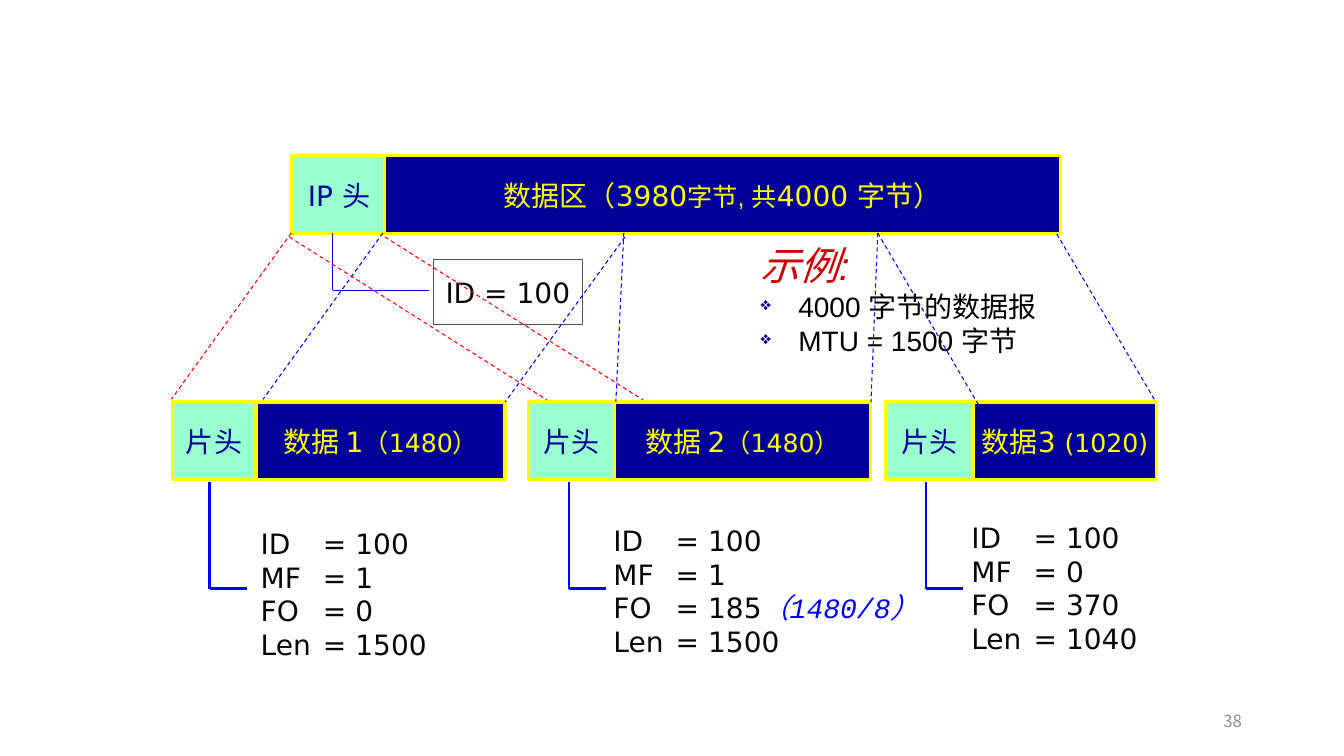
"""Slide showing how a 4000-byte IP datagram is split into three fragments."""
from lxml import etree
from pptx import Presentation
from pptx import util as u
from pptx.dml.color import RGBColor
from pptx.enum import dml, shapes, text
from pptx.oxml.ns import qn

COLOURS = {
    "mint": "99FFCC", "navy": "000099", "yellow": "FFFF00", "blue": "0000FF",
    "red": "FF0000", "crimson": "CC0000", "slate": "44546A", "ink": "080808",
    "black": "000000", "grey": "8C8C8C",
}
SANS, ARIAL, MONO, CJK = "DejaVu Sans", "Arial", "Courier New", "Noto Sans CJK SC"
BAR_HEIGHT, DATAGRAM_TOP, FRAGMENT_TOP = 1.96, 3.93, 10.13

HEAD = [("片头", {})]
SMALL = {"size": 18}
BARS = [
    (7.34, DATAGRAM_TOP, 2.41, "mint", [("IP 头", {})]),
    (9.70, DATAGRAM_TOP, 17.02, "navy",
     [("数据区（3980", {}), ("字节, 共", {"size": 18, "face": ARIAL}), ("4000 字节）", {})]),
    (4.34, FRAGMENT_TOP, 2.11, "mint", HEAD),
    (6.46, FRAGMENT_TOP, 6.27, "navy", [("数据 1", {}), ("（1480）", SMALL)]),
    (24.54, FRAGMENT_TOP, 4.60, "navy", [("数据3 ", {}), ("(1020)", SMALL)]),
    (22.33, FRAGMENT_TOP, 2.21, "mint", HEAD),
    (13.32, FRAGMENT_TOP, 2.16, "mint", HEAD),
    (15.49, FRAGMENT_TOP, 6.45, "navy", [("数据 2", {}), ("（1480）", SMALL)]),
]
PROJECTIONS = [
    (7.34, 5.87, 4.32, 10.06, "red"),
    (9.65, 5.87, 6.63, 10.06, "blue"),
    (15.75, 5.97, 12.73, 10.13, "blue"),
    (15.72, 5.87, 15.52, 10.13, "blue"),
    (22.12, 5.87, 21.95, 10.13, "blue"),
    (22.12, 5.87, 24.71, 10.29, "blue"),
    (26.54, 5.74, 29.13, 10.13, "blue"),
    (7.29, 5.97, 13.79, 10.08, "red"),
    (9.70, 5.97, 16.21, 10.08, "red"),
]
ELBOWS = [
    (8.38, 5.87, 7.32, 2.42, 0.75),
    (5.28, 12.14, 14.83, 0.94, 1.5),
    (14.33, 12.14, 14.83, 0.94, 1.5),
    (23.34, 12.14, 14.83, 0.94, 1.5),
]
FIELD_NAMES = ["ID", "MF", "FO", "Len"]
FIELDS = [
    (6.32, 12.80, 5, [100, 1, 0, 1500], ""),
    (15.21, 12.73, 9, [100, 1, 185, 1500], "（1480/8）"),
    (24.23, 12.65, 5, [100, 0, 370, 1040], ""),
]
EXAMPLE_TITLE = "示例:"
EXAMPLE_POINTS = ["4000 字节的数据报", "MTU = 1500 字节"]


def style(font, size=None, face=None, colour=None, italic=None):
    if size:
        font.size = u.Pt(size)
    if face:
        font.name = face
    if colour:
        font.color.rgb = RGBColor.from_string(COLOURS[colour])
    if italic is not None:
        font.italic = italic


def write(para, spans, **base):
    style(para.font, **base)
    for words, changes in spans:
        span = para.add_run()
        span.text = words
        if changes:
            style(span.font, **{**base, **changes})


def add_line(page, x1, y1, x2, y2, colour, width, dashed=False):
    line = page.shapes.add_connector(
        shapes.MSO_CONNECTOR.STRAIGHT, u.Cm(x1), u.Cm(y1), u.Cm(x2), u.Cm(y2))
    line.line.color.rgb = RGBColor.from_string(COLOURS[colour])
    line.line.width = u.Pt(width)
    if dashed:
        line.line.dash_style = dml.MSO_LINE.DASH
    etree.SubElement(line._element.spPr, qn("a:effectLst"))


def add_rect(page, x, y, w, h, fill, outline, width):
    box = page.shapes.add_shape(
        shapes.MSO_SHAPE.RECTANGLE, u.Cm(x), u.Cm(y), u.Cm(w), u.Cm(h))
    box.shadow.inherit = False
    if fill:
        box.fill.solid()
        box.fill.fore_color.rgb = RGBColor.from_string(COLOURS[fill])
    else:
        box.fill.background()
    box.line.color.rgb = RGBColor.from_string(COLOURS[outline])
    box.line.width = u.Pt(width)
    frame = box.text_frame
    frame.word_wrap = False
    frame.vertical_anchor = text.MSO_ANCHOR.MIDDLE
    frame.paragraphs[0].alignment = text.PP_ALIGN.CENTER
    return frame


def add_text(page, x, y, w, h, anchor):
    frame = page.shapes.add_textbox(u.Cm(x), u.Cm(y), u.Cm(w), u.Cm(h)).text_frame
    frame.word_wrap = True
    frame.vertical_anchor = anchor
    return frame


def next_para(frame, index):
    return frame.add_paragraph() if index else frame.paragraphs[0]


def add_bar(page, x, y, w, fill, spans):
    frame = add_rect(page, x, y, w, BAR_HEIGHT, fill, "yellow", 2.25)
    frame.margin_left = frame.margin_right = frame.margin_top = frame.margin_bottom = 0
    ink = "navy" if fill == "mint" else "yellow"
    write(frame.paragraphs[0], spans, size=20, face=SANS, colour=ink)


def add_elbow(page, x, top, bottom, reach, width):
    add_line(page, x, top, x, bottom, "blue", width)
    add_line(page, x, bottom, x + reach, bottom, "blue", width)


def add_fields(page, x, y, w, values, offset_note):
    frame = add_text(page, x, y, w, 4.32, text.MSO_ANCHOR.MIDDLE)
    for index, (name, value) in enumerate(zip(FIELD_NAMES, values)):
        para = next_para(frame, index)
        tabs = etree.SubElement(para._p.get_or_add_pPr(), qn("a:tabLst"))
        etree.SubElement(tabs, qn("a:tab"), pos=str(u.Cm(1.57)), algn="l")
        spans = [(f"{name}\t= {value}", {})]
        if name == "FO" and offset_note:
            spans.append((offset_note, {"face": MONO, "colour": "blue", "italic": True}))
        write(para, spans, size=20, face=SANS, colour="ink")


def add_bullet(properties):
    colour = etree.SubElement(properties, qn("a:buClr"))
    etree.SubElement(colour, qn("a:srgbClr"), val=COLOURS["navy"])
    etree.SubElement(properties, qn("a:buSzPct"), val="65000")
    etree.SubElement(properties, qn("a:buChar"), char="❖")


def add_example(page):
    frame = add_text(page, 18.92, 6.15, 7.87, 3.48, text.MSO_ANCHOR.TOP)
    for index, words in enumerate([EXAMPLE_TITLE, *EXAMPLE_POINTS]):
        para = next_para(frame, index)
        para.line_spacing = 0.85
        properties = para._p.get_or_add_pPr()
        properties.set("marL", str(u.Cm(0.95)))
        properties.set("indent", str(-u.Cm(0.95)))
        if index:
            para.space_before = u.Pt(4)
            add_bullet(properties)
            write(para, [(words, {})], size=20, face=ARIAL, colour="black")
        else:
            write(para, [(words, {})], size=28, face=ARIAL, colour="crimson", italic=True)


def main():
    deck = Presentation()
    deck.slide_width, deck.slide_height = u.Cm(33.87), u.Cm(19.05)
    page = deck.slides.add_slide(deck.slide_layouts[6])
    for bar in BARS:
        add_bar(page, *bar)
    for elbow in ELBOWS:
        add_elbow(page, *elbow)
    label = add_rect(page, 10.92, 6.53, 3.76, 1.65, None, "slate", 0.75)
    write(label.paragraphs[0], [("ID = 100", {})], size=20, face=SANS, colour="ink")
    for projection in PROJECTIONS:
        add_line(page, *projection, 0.75, dashed=True)
    for fields in FIELDS:
        add_fields(page, *fields)
    add_example(page)
    number = add_text(page, 23.93, 17.65, 7.62, 1.02, text.MSO_ANCHOR.MIDDLE)
    number.paragraphs[0].alignment = text.PP_ALIGN.RIGHT
    write(number.paragraphs[0], [("38", {})], size=12, face=CJK, colour="grey")
    deck.save("out.pptx")


if __name__ == "__main__":
    main()
